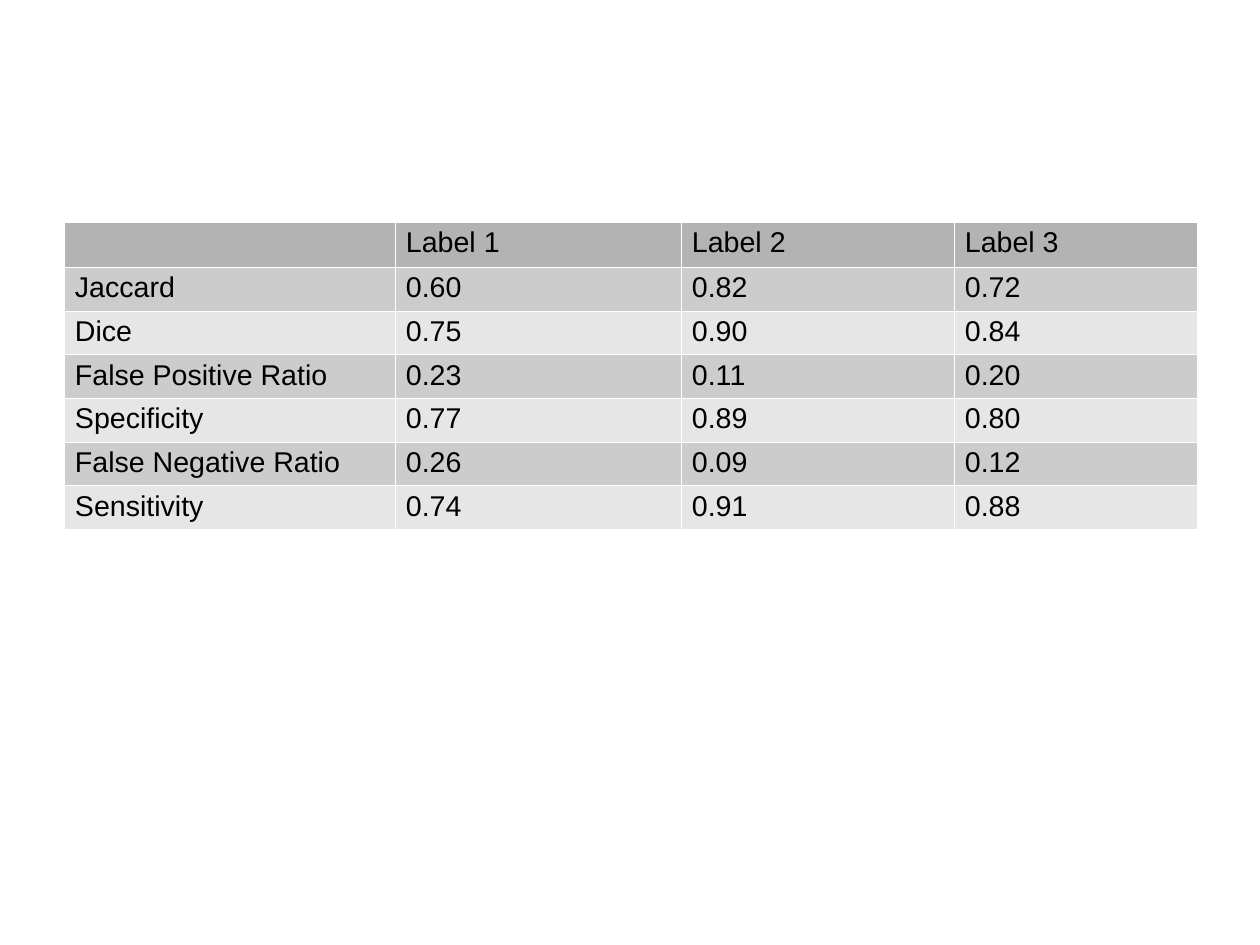
import pptx
import pptx.dml.color
import pptx.oxml
import pptx.oxml.ns
import pptx.util

PX = 8000  # EMU per px
LEFT, TOP, HEIGHT = 64, 222, 306
COLUMN_WIDTHS = [331, 286, 273, 243]
HEADER_FILL = "B3B3B3"
BAND_FILLS = ["CCCCCC", "E6E6E6"]
BORDER_COLOR = "FFFFFF"
BORDER_WIDTH = pptx.util.Pt(0.06)

METRICS = [
    ["", "Label 1", "Label 2", "Label 3"],
    ["Jaccard", "0.60", "0.82", "0.72"],
    ["Dice", "0.75", "0.90", "0.84"],
    ["False Positive Ratio", "0.23", "0.11", "0.20"],
    ["Specificity", "0.77", "0.89", "0.80"],
    ["False Negative Ratio", "0.26", "0.09", "0.12"],
    ["Sensitivity", "0.74", "0.91", "0.88"],
]


def color(hex_string):
    return pptx.dml.color.RGBColor.from_string(hex_string)


def add_borders(cell):
    properties = cell._tc.get_or_add_tcPr()
    for index, side in enumerate(["lnL", "lnR", "lnT", "lnB"]):
        properties.insert(index, pptx.oxml.parse_xml(
            f'<a:{side} {pptx.oxml.ns.nsdecls("a")} w="{BORDER_WIDTH}">'
            f'<a:solidFill><a:srgbClr val="{BORDER_COLOR}"/></a:solidFill></a:{side}>'))


# Slide
presentation = pptx.Presentation()
presentation.slide_width = 1260 * PX
presentation.slide_height = 945 * PX
slide = presentation.slides.add_slide(presentation.slide_layouts[6])

# Table grid
table = slide.shapes.add_table(
    len(METRICS), len(COLUMN_WIDTHS),
    LEFT * PX, TOP * PX, sum(COLUMN_WIDTHS) * PX, HEIGHT * PX).table
for column, width in zip(table.columns, COLUMN_WIDTHS):
    column.width = width * PX
for row in table.rows:
    row.height = HEIGHT * PX // len(METRICS)

# Cells: header row, then alternating bands
for row_index, values in enumerate(METRICS):
    fill = BAND_FILLS[(row_index - 1) % 2] if row_index else HEADER_FILL
    for column_index, value in enumerate(values):
        cell = table.cell(row_index, column_index)
        cell.fill.solid()
        cell.fill.fore_color.rgb = color(fill)
        cell.margin_left = cell.margin_right = 11 * PX
        cell.margin_top = cell.margin_bottom = 5 * PX
        add_borders(cell)
        if value:
            paragraph = cell.text_frame.paragraphs[0]
            paragraph.text = value
            font = paragraph.runs[0].font
            font.name = "Arial"
            font.size = pptx.util.Pt(18)
            font.bold = False
            font.color.rgb = color("000000")

presentation.save("out.pptx")
